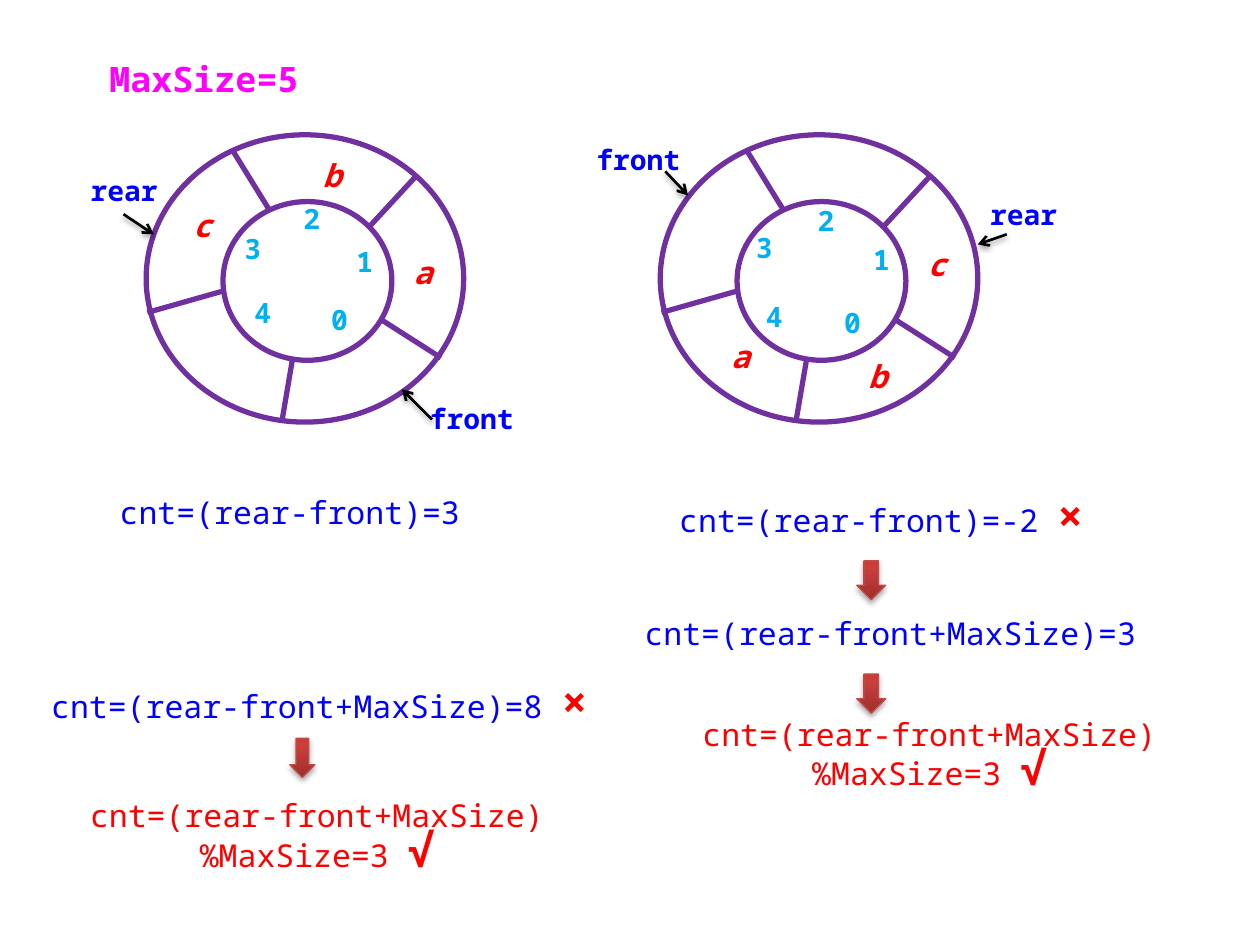
"""Build a slide on counting the elements of a circular queue."""
from copy import deepcopy

from lxml.etree import SubElement
from pptx import Presentation
from pptx.dml.color import RGBColor
from pptx.enum.shapes import MSO_CONNECTOR, MSO_SHAPE
from pptx.enum.text import MSO_AUTO_SIZE, PP_ALIGN
from pptx.oxml.ns import qn
from pptx.util import Inches, Pt

COLORS = {
    name: RGBColor.from_string(value)
    for name, value in {
        "ring": "7030A0", "inside": "FFFFFF", "title": "FF00FF", "index": "00B0F0",
        "blue": "0000FF", "red": "FF0000", "pointer": "000000", "edge": "BF4C48",
        "dark": "9C2F2D", "middle": "CB3E3A", "light": "CE3B37",
    }.items()
}
FONT = "Noto Sans Mono"

presentation = Presentation()
presentation.slide_width = Inches(10)
presentation.slide_height = Inches(7.5)
COLUMN = presentation.slide_width / 100
ROW = presentation.slide_height / 75
slide = presentation.slides.add_slide(presentation.slide_layouts[6])


def grid(*values):
    return [int(value * unit) for value, unit in zip(values, (COLUMN, ROW) * 2)]


def add_text(box, runs, inset=True):
    shape = slide.shapes.add_textbox(*grid(*box))
    frame = shape.text_frame
    frame.word_wrap = True
    frame.auto_size = MSO_AUTO_SIZE.SHAPE_TO_FIT_TEXT
    if not inset:
        for side in ("left", "top", "right", "bottom"):
            setattr(frame, f"margin_{side}", 0)
    paragraph = frame.paragraphs[0]
    paragraph.alignment = PP_ALIGN.CENTER
    paragraph.line_spacing = 0.8
    for text, size, color, style in runs:
        run = paragraph.add_run()
        run.text = text
        run.font.color.rgb = COLORS[color]
        formats = {"name": FONT, "size": Pt(size), "bold": "b" in style, "italic": "i" in style}
        for name, value in formats.items():
            setattr(run.font, name, value)


LABELS = {
    "index": ((3.1, 2.2), 16, "index", "b"),
    "element": ((3.1, 2.4), 18, "red", "bi"),
    "pointer": ((7.9, 2.2), 16, "blue", "b"),
}
ELLIPSES = [(11.6, 10.7, 25.2, 22.8), (17.7, 16, 13.4, 12.6)]
DIVIDERS = [
    (30.3, 25.4, 35, 28.4), (29.4, 17.9, 33, 14), (18.5, 12, 21.4, 16.7),
    (23.2, 28.6, 22.4, 33.3), (11.7, 24.8, 17.7, 23.1),
]
QUEUES = [
    {
        "offset": 0,
        "index": {"0": (25.4, 24.5), "1": (27.4, 19.9), "2": (23.2, 16.5),
                  "3": (18.5, 18.9), "4": (19.3, 24)},
        "element": {"a": (32, 20.7), "b": (24.8, 13), "c": (14.5, 16.9)},
        "pointer": {"front": (33.5, 32.4), "rear": (5.9, 14.3)},
        "arrows": [(34.3, 33.3, 31.9, 30.9), (9.8, 17, 12.2, 18.6)],
    },
    {
        "offset": 40.8,
        "index": {"0": (66.1, 24.8), "1": (68.4, 19.8), "2": (64, 16.7),
                  "3": (59.1, 18.8), "4": (59.9, 24.3)},
        "element": {"a": (57.2, 27.3), "b": (68.1, 28.9), "c": (72.8, 20)},
        "pointer": {"front": (46.7, 11.8), "rear": (77.3, 16.2)},
        "arrows": [(52.8, 13.6, 54.6, 15.5), (79.9, 18.6, 77.6, 19.4)],
    },
]

add_text((7, 4.7, 18.4, 3.8), [("MaxSize=5", 20, "title", "b")])

for queue in QUEUES:
    offset = queue["offset"]
    for (left, top, width, height), filled in zip(ELLIPSES, (False, True)):
        ellipse = slide.shapes.add_shape(
            MSO_SHAPE.OVAL, *grid(left + offset, top, width, height))
        ellipse.shadow.inherit = False
        if filled:
            ellipse.fill.solid()
            ellipse.fill.fore_color.rgb = COLORS["inside"]
        else:
            ellipse.fill.background()
        ellipse.line.color.rgb = COLORS["ring"]
        ellipse.line.width = Pt(3)

    for x1, y1, x2, y2 in DIVIDERS:
        divider = slide.shapes.add_connector(
            MSO_CONNECTOR.STRAIGHT, *grid(x1 + offset, y1, x2 + offset, y2))
        divider.line.color.rgb = COLORS["ring"]
        divider.line.width = Pt(3)
        SubElement(divider._element.spPr, qn("a:effectLst"))

    for kind, (size, points, color, style) in LABELS.items():
        for text, position in queue[kind].items():
            add_text(position + size, [(text, points, color, style)], inset=False)

    for ends in queue["arrows"]:
        arrow = slide.shapes.add_connector(MSO_CONNECTOR.STRAIGHT, *grid(*ends))
        arrow.line.color.rgb = COLORS["pointer"]
        arrow.line.width = Pt(1.5)
        SubElement(arrow.line._get_or_add_ln(), qn("a:tailEnd"), type="arrow")

WRONG = ("×", 25, "red", "b")
RIGHT = ("√", 25, "red", "b")
FORMULAS = [
    ((7, 39.2, 32, 3.5), "cnt=(rear-front)=3", "blue", []),
    ((51.6, 39.1, 36.7, 4.4), "cnt=(rear-front)=-2 ", "blue", [WRONG]),
    ((48.4, 48.8, 44.5, 3.5), "cnt=(rear-front+MaxSize)=3", "blue", []),
    ((2.3, 53.9, 46.1, 4.4), "cnt=(rear-front+MaxSize)=8 ", "blue", [WRONG]),
    ((-1.2, 63.3, 52.7, 4.4), "cnt=(rear-front+MaxSize)%MaxSize=3 ", "red", [RIGHT]),
    ((47.4, 56.8, 52.7, 4.4), "cnt=(rear-front+MaxSize)%MaxSize=3 ", "red", [RIGHT]),
]
for box, formula, color, marks in FORMULAS:
    add_text(box, [(formula, 18, color, "")] + marks)

for left, top, width in [(68, 44.5, 2.3), (23, 58.6, 2), (68, 53.5, 2.3)]:
    step = slide.shapes.add_shape(MSO_SHAPE.DOWN_ARROW, *grid(left, top, width, 3.1))
    step.line.color.rgb = COLORS["edge"]
    step.line.width = Pt(0.75)
    step.fill.gradient()
    step.fill.gradient_angle = 90
    first_stop = step._element.xpath(".//a:gs")[0]
    first_stop.addnext(deepcopy(first_stop))
    stops = zip(step.fill.gradient_stops, (0, 0.8, 1), ("dark", "middle", "light"))
    for stop, position, color in stops:
        stop.position = position
        stop.color.rgb = COLORS[color]

presentation.save("out.pptx")
